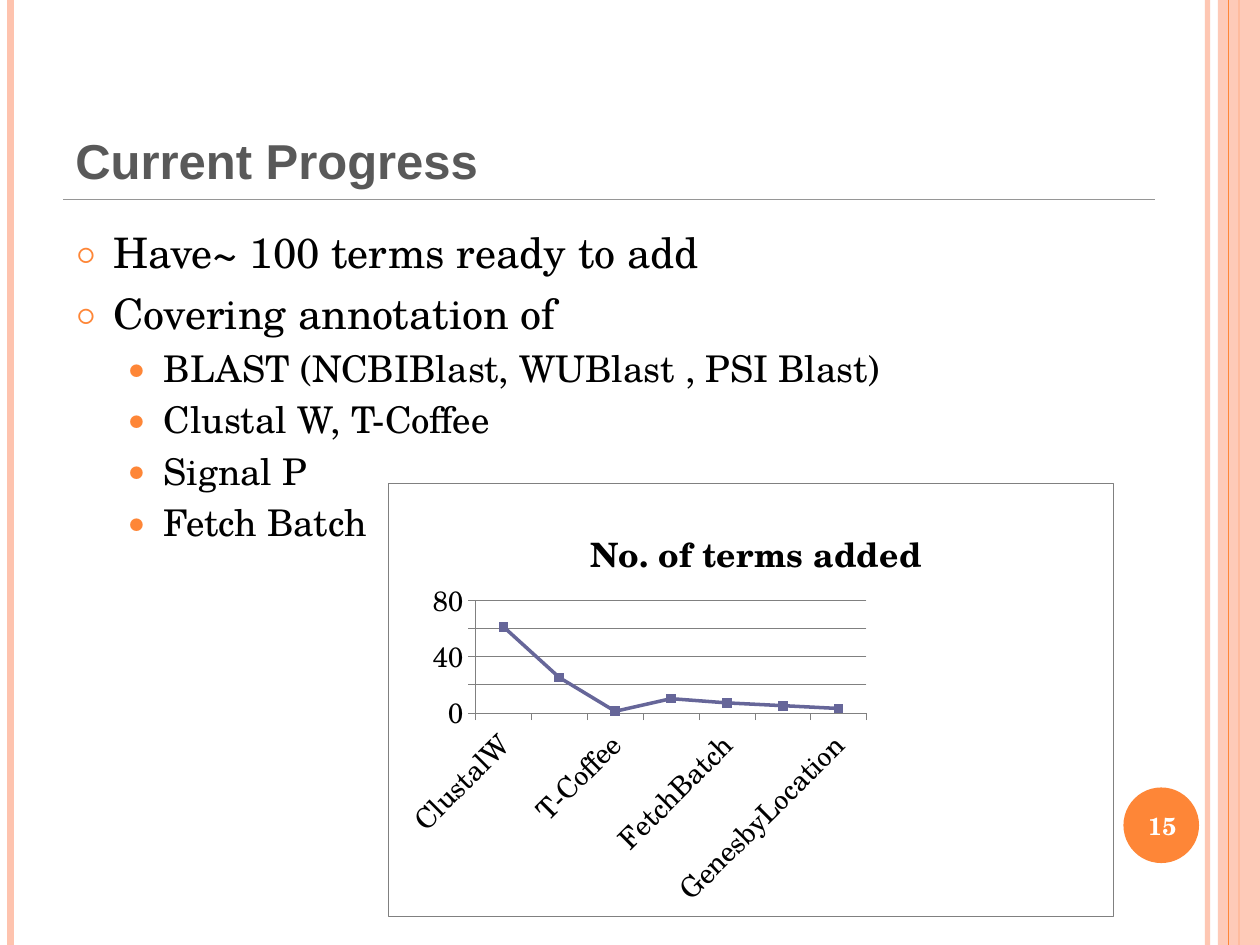
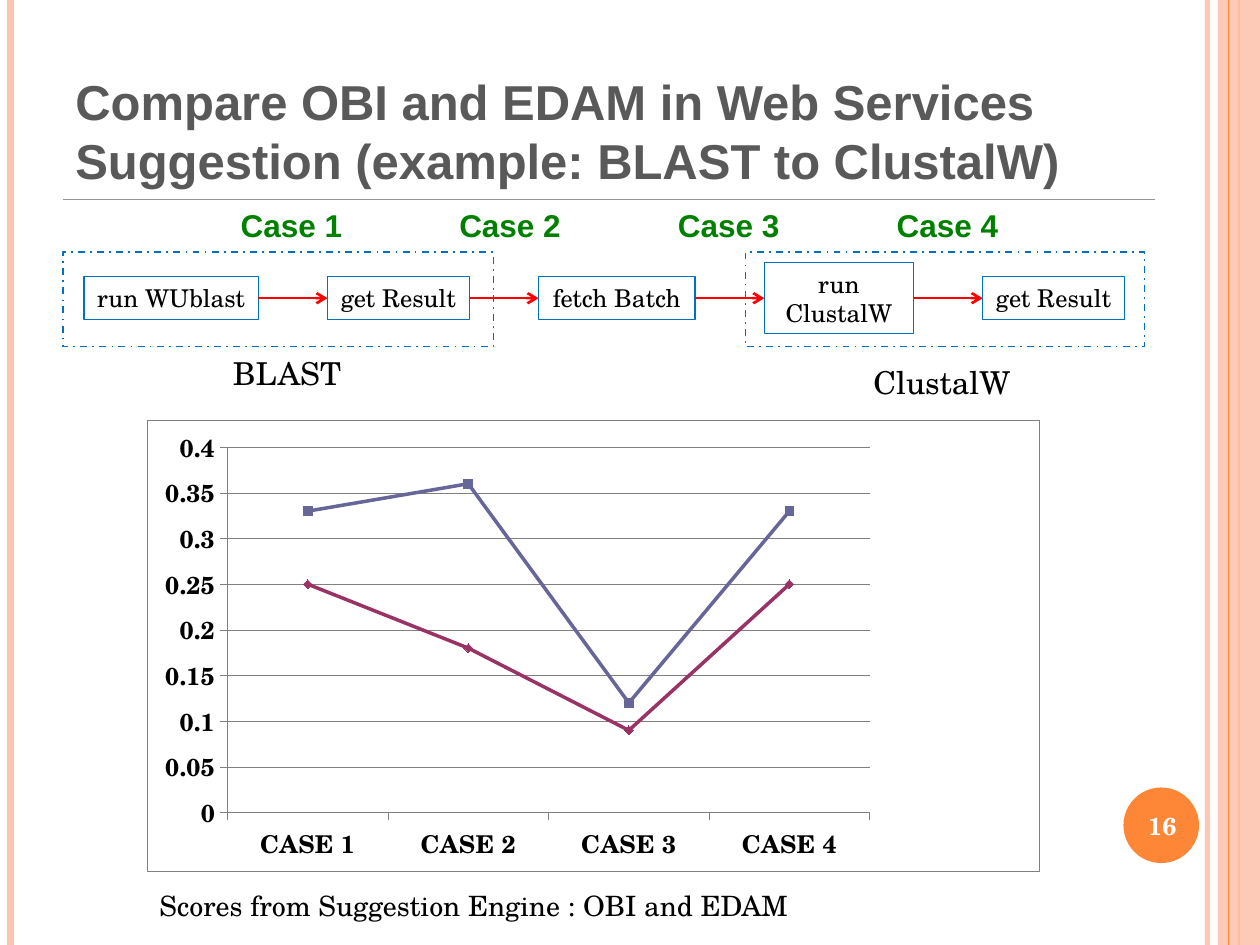
from dataclasses import dataclass
from itertools import pairwise

import lxml.etree
import pptx
import pptx.chart.data
import pptx.dml.color
import pptx.enum.chart
import pptx.enum.dml
import pptx.enum.shapes
import pptx.enum.text
import pptx.oxml.ns
import pptx.util

COLUMNS, ROWS = 120, 90
WIDTH, HEIGHT = pptx.util.Inches(10), pptx.util.Inches(7.5)
SERIF, SANS = "TeX Gyre Schola", "Arial"
ORANGE, PEACH, WHITE, BLACK = "FE8637", "FEC3AE", "FFFFFF", "000000"
GREY, RULE, TITLE = "808080", "969696", "595959"
BLUE, RED, GREEN = "0070C0", "FF0000", "008000"

ALIGN = pptx.enum.text.PP_ALIGN
ANCHOR = pptx.enum.text.MSO_ANCHOR
SHAPE = pptx.enum.shapes.MSO_SHAPE
MARKER = pptx.enum.chart.XL_MARKER_STYLE
qn = pptx.oxml.ns.qn


@dataclass(frozen=True)
class Box:
    """An area in grid columns and rows."""
    left: float
    top: float
    width: float
    height: float

    def emu(self) -> tuple[int, int, int, int]:
        return across(self.left), down(self.top), across(self.width), down(self.height)


@dataclass(frozen=True)
class Style:
    size: float
    color: str = BLACK
    font: str = SERIF
    bold: bool = False


@dataclass(frozen=True)
class Stripe:
    column: float
    color: str
    weight: float
    opacity: int = 100


@dataclass(frozen=True)
class Step:
    label: str
    width: float
    height: float = 4.1
    wrap: bool = False


@dataclass(frozen=True)
class Bullet:
    symbol: str
    indent: float
    scale: int
    before: float
    style: Style


@dataclass(frozen=True)
class Series:
    name: str
    values: tuple[float, ...]
    color: str
    marker: MARKER


STRIPES = (Stripe(115, PEACH, 3, 93), Stripe(1, PEACH, 4.5), Stripe(118, ORANGE, 1.5))
INNER_STRIPE = Stripe(117, ORANGE, 0.75)
TITLE_STYLE = Style(28, TITLE, SANS, True)
NUMBER_STYLE = Style(14, WHITE, bold=True)
TOPIC = Bullet("○", 3.6, 70, 6, Style(24))
DETAIL = Bullet("●", 8.4, 80, 4.2, Style(21))
PROGRESS = (
    (TOPIC, "Have~ 100 terms ready to add"),
    (TOPIC, "Covering annotation of"),
    (DETAIL, "BLAST (NCBIBlast, WUBlast , PSI Blast)"),
    (DETAIL, "Clustal W, T-Coffee"),
    (DETAIL, "Signal P"),
    (DETAIL, "Fetch Batch"),
)
STEPS = (
    Step("run WUblast", 16.6), Step("get Result", 13.5), Step("fetch Batch", 14.9),
    Step("run ClustalW", 14.2, 6.8, True), Step("get Result", 13.5),
)
TERMS = Series("No. of terms added", (61, 25, 1, 10, 7, 5, 3), "666699", MARKER.SQUARE)
SCORES = (
    Series("OBI", (0.33, 0.36, 0.12, 0.33), "666699", MARKER.SQUARE),
    Series("EDAM", (0.25, 0.18, 0.09, 0.25), "993366", MARKER.DIAMOND),
)


def across(columns: float) -> int:
    return round(WIDTH * columns / COLUMNS)


def down(rows: float) -> int:
    return round(HEIGHT * rows / ROWS)


def rgb(color: str) -> pptx.dml.color.RGBColor:
    return pptx.dml.color.RGBColor.from_string(color)


def child(parent, tag: str, **attributes):
    return lxml.etree.SubElement(parent, qn(tag), attributes)


def paint(fill, color: str, opacity: int = 100) -> None:
    fill.solid()
    fill.fore_color.rgb = rgb(color)
    if opacity < 100:
        # the colour element is the only one below the solid fill
        solid = fill._xPr.find(qn("a:solidFill"))
        child(solid[0], "a:alpha", val=str(opacity * 1000))


def stroke(line, color: str, weight: float, opacity: int = 100) -> None:
    paint(line.fill, color, opacity)
    line.width = pptx.util.Pt(weight)


def set_font(font, style: Style) -> None:
    font.size, font.name, font.bold = pptx.util.Pt(style.size), style.font, style.bold
    font.color.rgb = rgb(style.color)


def write(frame, text: str, style: Style, align=ALIGN.LEFT, anchor=ANCHOR.TOP, wrap=True) -> None:
    frame.word_wrap, frame.vertical_anchor = wrap, anchor
    paragraph = frame.paragraphs[0]
    paragraph.alignment = align
    run = paragraph.add_run()
    run.text = text
    set_font(run.font, style)


def add_text(slide, box: Box, text: str, style: Style, **layout) -> None:
    write(slide.shapes.add_textbox(*box.emu()).text_frame, text, style, **layout)


def add_line(slide, start: tuple[float, float], end: tuple[float, float],
             color: str, weight: float, opacity: int = 100):
    line = slide.shapes.add_connector(
        pptx.enum.shapes.MSO_CONNECTOR.STRAIGHT,
        across(start[0]), down(start[1]), across(end[0]), down(end[1]))
    stroke(line.line, color, weight, opacity)
    child(line._element.spPr, "a:effectLst")
    return line


def add_preset(slide, kind, box: Box):
    """Add a shape with neither fill nor line."""
    shape = slide.shapes.add_shape(kind, *box.emu())
    shape.shadow.inherit = False
    shape.fill.background()
    shape.line.fill.background()
    return shape


def add_stripe(slide, stripe: Stripe) -> None:
    add_line(slide, (stripe.column, 0), (stripe.column, ROWS),
             stripe.color, stripe.weight, stripe.opacity)


def add_page(deck, title: str, number: int):
    """Add a slide with the bands, title and number that all slides share."""
    slide = deck.slides.add_slide(deck.slide_layouts[6])
    for stripe in STRIPES:
        add_stripe(slide, stripe)
    paint(add_preset(slide, SHAPE.RECTANGLE, Box(116, 0, 4, ROWS)).fill, PEACH, 87)
    add_stripe(slide, INNER_STRIPE)
    paint(add_preset(slide, SHAPE.OVAL, Box(107, 75, 7.2, 7.2)).fill, ORANGE)
    add_line(slide, (6, 19), (110, 19), RULE, 0.75)
    add_text(slide, Box(6, 3.6, 98, 15), title, TITLE_STYLE, anchor=ANCHOR.BOTTOM)
    add_text(slide, Box(106.7, 75.2, 8, 6.9), str(number), NUMBER_STYLE,
             align=ALIGN.CENTER, anchor=ANCHOR.MIDDLE)
    return slide


def add_bullets(slide, box: Box, items: tuple[tuple[Bullet, str], ...]) -> None:
    frame = slide.shapes.add_textbox(*box.emu()).text_frame
    frame.word_wrap = True
    for index, (bullet, text) in enumerate(items):
        paragraph = frame.add_paragraph() if index else frame.paragraphs[0]
        if index:
            paragraph.space_before = pptx.util.Pt(bullet.before)
        properties = paragraph._p.get_or_add_pPr()
        properties.set("marL", str(across(bullet.indent)))
        properties.set("indent", str(-across(TOPIC.indent)))
        child(child(properties, "a:buClr"), "a:srgbClr", val=ORANGE)
        child(properties, "a:buSzPct", val=str(bullet.scale * 1000))
        child(properties, "a:buFont", typeface=SERIF)
        child(properties, "a:buChar", char=bullet.symbol)
        run = paragraph.add_run()
        run.text = text
        set_font(run.font, bullet.style)


def place(part, index: int, **shares: float) -> None:
    """Fix a chart part at shares of the chart's size."""
    for automatic in part.findall(qn("c:layout")):
        part.remove(automatic)
    layout = lxml.etree.Element(qn("c:layout"))
    part.insert(index, layout)
    manual = child(layout, "c:manualLayout")
    if part.tag == qn("c:plotArea"):
        child(manual, "c:layoutTarget", val="inner")
    for mode in ("xMode", "yMode"):
        child(manual, f"c:{mode}", val="edge")
    for key, share in shares.items():
        child(manual, f"c:{key}", val=str(share))


def add_line_chart(slide, box: Box, categories: tuple[str, ...], lines: tuple[Series, ...],
                   style: Style, top: float, step: float, plot: dict[str, float]):
    data = pptx.chart.data.CategoryChartData()
    data.categories = categories
    for line in lines:
        data.add_series(line.name, line.values)
    kind = pptx.enum.chart.XL_CHART_TYPE.LINE_MARKERS
    chart = slide.shapes.add_chart(kind, *box.emu(), data).chart
    set_font(chart.font, style)
    chart.has_title = chart.has_legend = False

    chart_space = chart.element
    border = lxml.etree.Element(qn("c:spPr"))
    chart_space.find(qn("c:chart")).addnext(border)
    child(child(border, "a:solidFill"), "a:srgbClr", val=WHITE)
    outline = child(border, "a:ln", w=str(pptx.util.Pt(0.25)))
    child(child(outline, "a:solidFill"), "a:srgbClr", val=GREY)
    place(chart_space.find(".//" + qn("c:plotArea")), 0, **plot)

    scale = chart.value_axis
    scale.minimum_scale, scale.maximum_scale, scale.major_unit = 0, top, step
    scale.has_major_gridlines = True
    stroke(scale.major_gridlines.format.line, GREY, 0.25)
    for axis in (scale, chart.category_axis):
        axis.major_tick_mark = pptx.enum.chart.XL_TICK_MARK.OUTSIDE
        stroke(axis.format.line, GREY, 0.25)

    chart.plots[0].vary_by_categories = False
    for drawn, line in zip(chart.plots[0].series, lines):
        drawn.smooth = False
        stroke(drawn.format.line, line.color, 2)
        drawn.marker.style, drawn.marker.size = line.marker, 5
        paint(drawn.marker.format.fill, line.color)
        stroke(drawn.marker.format.line, line.color, 0.25)
    return chart


def add_progress(deck) -> None:
    slide = add_page(deck, "Current Progress", 15)
    add_bullets(slide, Box(6, 21, 98, 64), PROGRESS)
    tools = ("ClustalW", "WUBlast/NCBIBlast", "T-Coffee", "SingalPeptide",
             "FetchBatch", "GenesbyTextSearch", "GenesbyLocation")
    chart = add_line_chart(slide, Box(37, 46, 69, 41.3), tools, (TERMS,), Style(16), 80, 20,
                           dict(x=0.12, y=0.27, w=0.54, h=0.26))
    chart.has_title = True
    heading = chart.chart_title.text_frame.paragraphs[0].add_run()
    heading.text = TERMS.name
    set_font(heading.font, Style(19.2, bold=True))
    place(chart.element.find(".//" + qn("c:title")), 1, x=0.27, y=0.08)
    set_font(chart.category_axis.tick_labels.font, Style(16))
    labels = chart.element.find(f".//{qn('c:catAx')}/{qn('c:txPr')}/{qn('a:bodyPr')}")
    labels.set("rot", str(-45 * 60000))


def add_workflow(slide) -> None:
    left, gap, middle = 8, 6.6, 28.4
    boxes = []
    for step in STEPS:
        box = Box(left, middle - step.height / 2, step.width, step.height)
        shape = add_preset(slide, SHAPE.RECTANGLE, box)
        stroke(shape.line, BLUE, 0.75)
        write(shape.text_frame, step.label, Style(14), ALIGN.CENTER, ANCHOR.MIDDLE, step.wrap)
        boxes.append(shape)
        left += step.width + gap
    for case, (before, after) in enumerate(pairwise(boxes)):
        arrow = add_line(slide, (0, middle), (gap, middle), RED, 1.5)
        arrow.begin_connect(before, 3)
        arrow.end_connect(after, 1)
        child(arrow.line._get_or_add_ln(), "a:tailEnd", type="arrow")
        add_text(slide, Box(21.5 + 20.83 * case, 19, 12.5, 4.8), f"Case {case + 1}",
                 Style(18, GREEN, SANS, True), align=ALIGN.CENTER, wrap=False)
    for name, group, label in (("BLAST", Box(6, 24, 41, 9), Box(21, 33.1, 12.7, 4.8)),
                               ("ClustalW", Box(71, 24, 38, 9), Box(82, 34, 15.6, 4.8))):
        frame = add_preset(slide, SHAPE.RECTANGLE, group)
        stroke(frame.line, BLUE, 1)
        frame.line.dash_style = pptx.enum.dml.MSO_LINE.DASH_DOT
        add_text(slide, label, name, Style(18), wrap=False)


def add_comparison(deck) -> None:
    slide = add_page(
        deck, "Compare OBI and EDAM in Web Services Suggestion (example: BLAST to ClustalW)", 16)
    cases = tuple(f"CASE {number}" for number in range(1, 5))
    chart = add_line_chart(slide, Box(14, 40, 85, 43), cases, SCORES, Style(14, bold=True),
                           0.4, 0.05, dict(x=0.09, y=0.06, w=0.72, h=0.81))
    chart.has_legend = True
    chart.legend.position = pptx.enum.chart.XL_LEGEND_POSITION.RIGHT
    chart.legend.include_in_layout = False
    legend = chart.element.find(".//" + qn("c:legend"))
    place(legend, 1, x=0.83, y=0.51, w=0.12, h=0.07)
    hidden = lxml.etree.Element(qn("c:legendEntry"))
    child(hidden, "c:idx", val="1")
    child(hidden, "c:delete", val="1")
    legend.insert(1, hidden)
    add_text(slide, Box(14, 84, 63.2, 4.4), "Scores from Suggestion Engine : OBI and EDAM",
             Style(16), wrap=False)
    add_workflow(slide)


def main() -> None:
    deck = pptx.Presentation()
    deck.slide_width, deck.slide_height = WIDTH, HEIGHT
    add_progress(deck)
    add_comparison(deck)
    deck.save("out.pptx")


if __name__ == "__main__":
    main()
